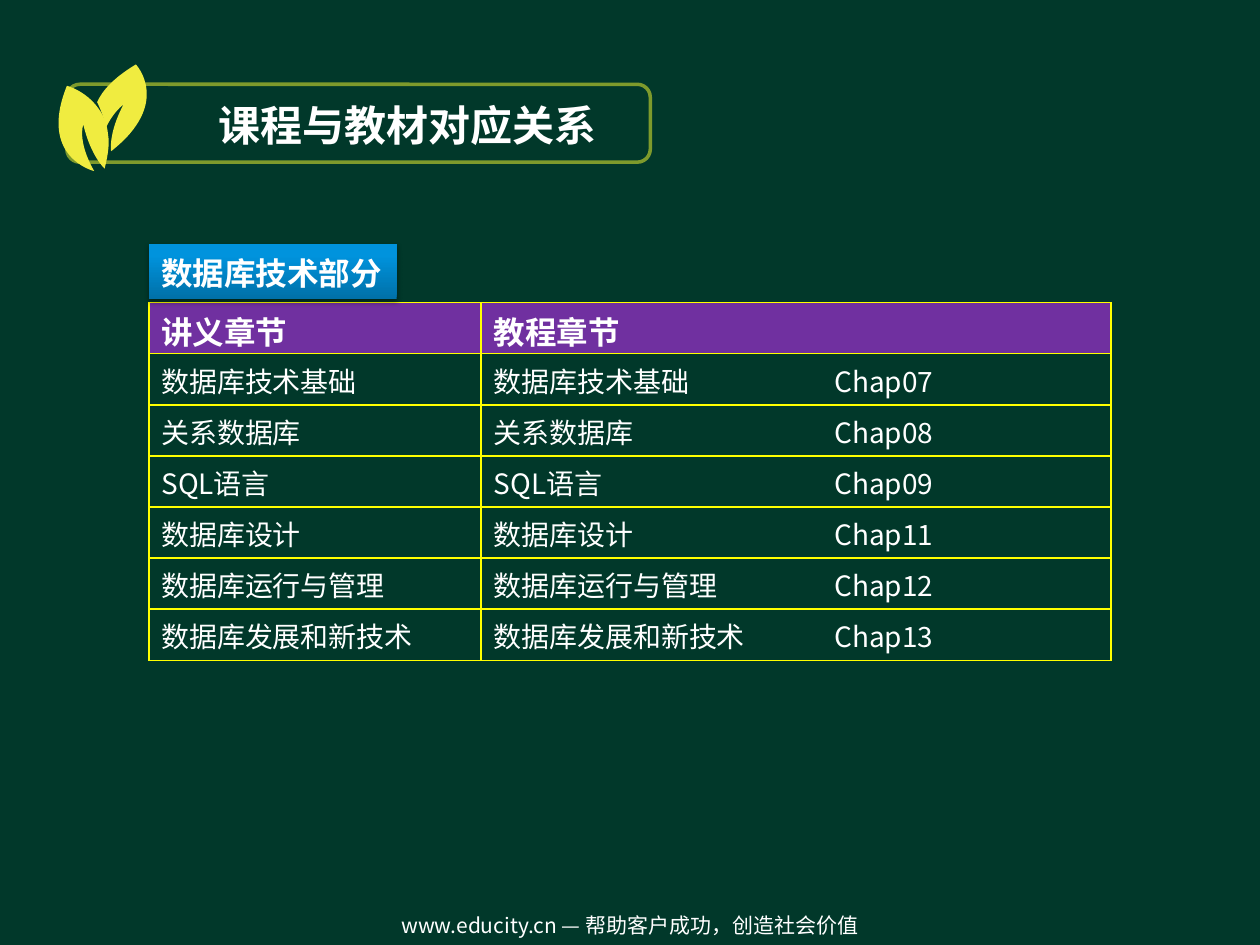
from dataclasses import dataclass
from itertools import chain
from typing import NamedTuple

from lxml.etree import SubElement
from pptx import Presentation
from pptx.dml.color import RGBColor as RGB
from pptx.enum.shapes import MSO_SHAPE as Shape
from pptx.enum.text import MSO_ANCHOR as Anchor, MSO_AUTO_SIZE as AutoSize, PP_ALIGN as Align
from pptx.oxml.ns import qn
from pptx.util import Cm, Pt


@dataclass(frozen=True)
class Theme:
    font: str = "Noto Sans CJK SC"
    background: str = "01382A"
    text: str = "FFFFFF"
    frame: str = "7E9A2C"
    leaf: str = "F0EC40"
    header: str = "7030A0"
    border: str = "FFFF00"
    label_dark: str = "0071A9"
    label_light: str = "0093DD"
    title_size: int = 24
    heading_size: int = 18
    body_size: int = 16
    footer_size: int = 12


class Box(NamedTuple):
    left: float
    top: float
    width: float
    height: float

    def emu(self) -> list:
        return [Cm(v) for v in self]


class Chapter(NamedTuple):
    topic: str
    number: str


class Leaf(NamedTuple):
    """Outline in cm: a start point, then cubic curves of two controls and an end."""
    start: tuple
    curves: list


THEME = Theme()
CHAPTERS = [
    Chapter("数据库技术基础", "Chap07"),
    Chapter("关系数据库", "Chap08"),
    Chapter("SQL语言", "Chap09"),
    Chapter("数据库设计", "Chap11"),
    Chapter("数据库运行与管理", "Chap12"),
    Chapter("数据库发展和新技术", "Chap13"),
]
LEAVES = [
    Leaf((2.74, 1.3), [
        ((2.29, 1.57), (2.06, 1.83), (1.96, 2.06)),
        ((2.03, 2.21), (2.11, 2.39), (2.13, 2.59)),
        ((2.29, 2.24), (2.49, 2.11), (2.49, 2.11)),
        ((2.18, 2.69), (2.24, 3.05), (2.24, 3.05)),
        ((3.48, 2.08), (2.74, 1.3), (2.74, 1.3)),
    ]),
    Leaf((1.98, 2.18), [
        ((1.73, 1.83), (1.35, 1.73), (1.35, 1.73)),
        ((0.76, 3.18), (1.9, 3.45), (1.9, 3.45)),
        ((1.55, 2.84), (1.68, 2.51), (1.68, 2.51)),
        ((1.83, 3.15), (2.11, 3.4), (2.11, 3.4)),
        ((2.18, 3.12), (2.21, 2.9), (2.18, 2.72)),
        ((2.16, 2.49), (2.08, 2.31), (1.98, 2.18)),
    ]),
]
COLUMN_WIDTHS = (6.7, 12.7)
ROW_HEIGHT = 1.03
CHAPTER_TAB = 6.87


def write(tf, text: str, size: int, bold: bool = False, align=Align.LEFT, tab: float = 0) -> None:
    p = tf.paragraphs[0]
    p.text = text
    p.alignment = align
    if tab:
        tabs = SubElement(p._p.get_or_add_pPr(), qn("a:tabLst"))
        SubElement(tabs, qn("a:tab"), pos=str(Cm(tab)), algn="l")
    for r in p.runs:
        r.font.size, r.font.bold, r.font.name = Pt(size), bold, THEME.font
        r.font.color.rgb = RGB.from_string(THEME.text)
        SubElement(r._r.get_or_add_rPr(), qn("a:ea"), typeface=THEME.font)


def add_title(s) -> None:
    sp = s.shapes.title
    sp.left, sp.top, sp.width, sp.height = Box(4.16, 1.88, 8.74, 1.27).emu()
    tf = sp.text_frame
    tf.auto_size, tf.vertical_anchor = AutoSize.NONE, Anchor.MIDDLE
    write(tf, "课程与教材对应关系", THEME.title_size, bold=True)


def bend_segments(sp) -> None:
    """Turn every three line segments of a freeform into one cubic curve."""
    lines = list(sp._element.iter(qn("a:lnTo")))
    for i in range(0, len(lines), 3):
        curve = lines[i].makeelement(qn("a:cubicBezTo"))
        lines[i].addprevious(curve)
        for line in lines[i:i + 3]:
            curve.append(line[0])
            line.getparent().remove(line)


def add_leaf(group, leaf: Leaf) -> None:
    builder = group.shapes.build_freeform(*(Cm(v) for v in leaf.start))
    points = [(Cm(x), Cm(y)) for x, y in chain.from_iterable(leaf.curves)]
    builder.add_line_segments(points, close=True)
    sp = builder.convert_to_shape()
    bend_segments(sp)
    sp.shadow.inherit = False
    sp.fill.solid()
    sp.fill.fore_color.rgb = RGB.from_string(THEME.leaf)
    sp.line.fill.background()


def add_title_frame(s) -> None:
    group = s.shapes.add_group_shape()
    sp = group.shapes.add_shape(Shape.ROUNDED_RECTANGLE, *Box(1.35, 1.7, 11.76, 1.57).emu())
    sp.shadow.inherit = False
    sp.fill.background()
    sp.line.color.rgb = RGB.from_string(THEME.frame)
    sp.line.width = Pt(2)
    for leaf in LEAVES:
        add_leaf(group, leaf)


def set_borders(cell) -> None:
    tc_pr = cell._tc.get_or_add_tcPr()
    for side in ("lnL", "lnR", "lnT", "lnB"):
        ln = SubElement(tc_pr, qn(f"a:{side}"), w=str(Pt(1)))
        SubElement(SubElement(ln, qn("a:solidFill")), qn("a:srgbClr"), val=THEME.border)


def add_chapter_table(s) -> None:
    rows = [("讲义章节", "教程章节")]
    rows += [(c.topic, f"{c.topic}\t{c.number}") for c in CHAPTERS]
    box = Box(3, 6.1, sum(COLUMN_WIDTHS), ROW_HEIGHT * len(rows))
    table = s.shapes.add_table(len(rows), len(COLUMN_WIDTHS), *box.emu()).table
    table.first_row = table.horz_banding = False
    for column, width in zip(table.columns, COLUMN_WIDTHS):
        column.width = Cm(width)
    for i, texts in enumerate(rows):
        header = i == 0
        table.rows[i].height = Cm(ROW_HEIGHT)
        for j, text in enumerate(texts):
            cell = table.cell(i, j)
            cell.margin_top, cell.margin_bottom = Cm(0.11 if header else 0.13), 0
            set_borders(cell)
            if header:
                cell.fill.solid()
                cell.fill.fore_color.rgb = RGB.from_string(THEME.header)
            else:
                cell.fill.background()
            write(cell.text_frame, text, THEME.heading_size if header else THEME.body_size,
                  bold=header, tab=CHAPTER_TAB if "\t" in text else 0)


def add_section_label(s) -> None:
    sp = s.shapes.add_shape(Shape.RECTANGLE, *Box(3, 4.92, 5, 1.1).emu())
    sp.line.fill.background()
    sp.fill.gradient()
    sp.fill.gradient_angle = 90
    stops = ((0, THEME.label_dark), (0.8, THEME.label_light))
    for stop, (position, color) in zip(sp.fill.gradient_stops, stops):
        stop.position, stop.color.rgb = position, RGB.from_string(color)
    sp.shadow.inherit = False
    effects = sp._element.spPr.find(qn("a:effectLst"))
    shadow = SubElement(effects, qn("a:outerShdw"), blurRad=str(Pt(3.1)), dist=str(Pt(1.8)),
                        dir="5400000", rotWithShape="0")
    color = SubElement(shadow, qn("a:srgbClr"), val="000000")
    SubElement(color, qn("a:alpha"), val="35000")
    tf = sp.text_frame
    tf.word_wrap, tf.vertical_anchor = False, Anchor.TOP
    tf.margin_top = tf.margin_bottom = Cm(0.04)
    write(tf, "数据库技术部分", THEME.heading_size, bold=True)
    tf.paragraphs[0].line_spacing = 1.2


def add_footer(s) -> None:
    tf = s.shapes.add_textbox(*Box(5.03, 18.27, 15.34, 0.76).emu()).text_frame
    tf.word_wrap = True
    write(tf, "www.educity.cn — 帮助客户成功，创造社会价值", THEME.footer_size, align=Align.CENTER)


def main() -> None:
    prs = Presentation()
    prs.slide_width, prs.slide_height = Cm(25.4), Cm(19.05)
    s = prs.slides.add_slide(prs.slide_layouts[5])
    s.background.fill.solid()
    s.background.fill.fore_color.rgb = RGB.from_string(THEME.background)
    for draw in (add_footer, add_title, add_title_frame, add_chapter_table, add_section_label):
        draw(s)
    prs.save("out.pptx")


if __name__ == "__main__":
    main()
